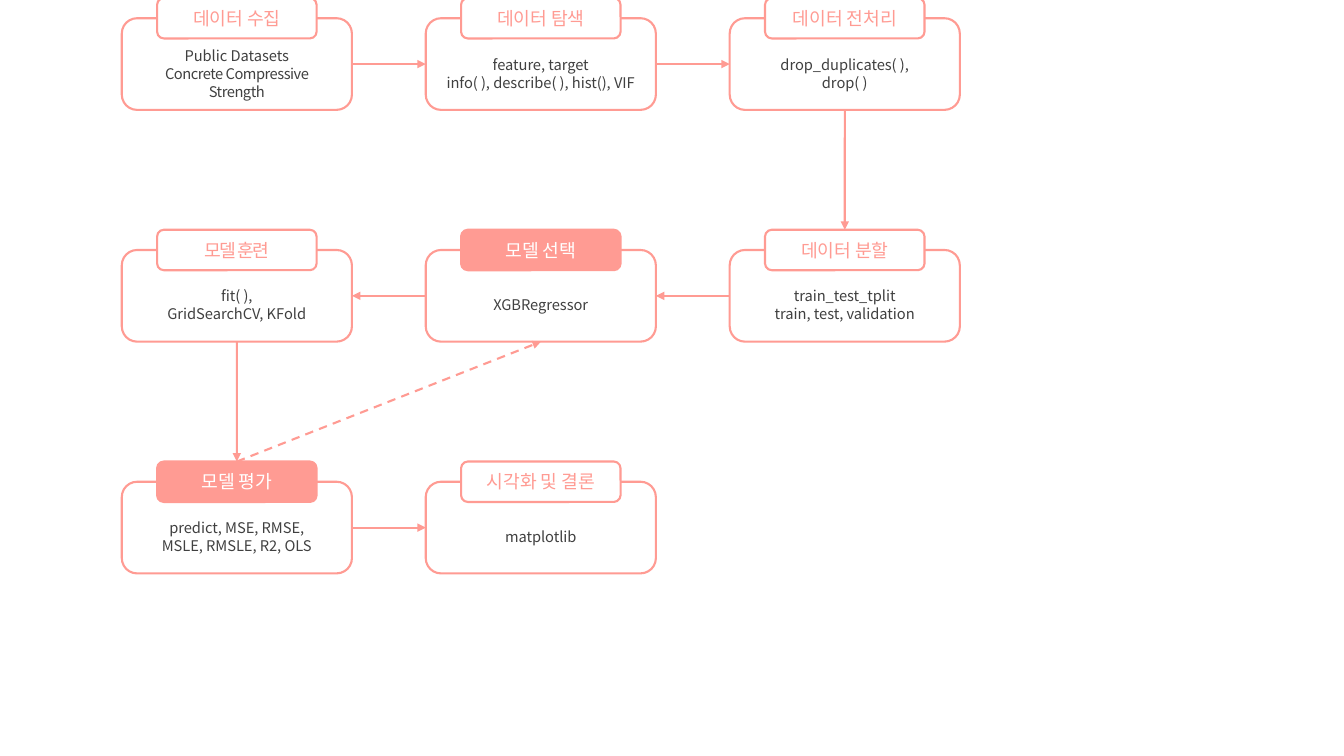
"""Build a one-slide flowchart of a machine learning workflow."""
from lxml.etree import SubElement
from pptx import Presentation
from pptx.dml.color import RGBColor
from pptx.enum.dml import MSO_LINE
from pptx.enum.shapes import MSO_CONNECTOR, MSO_SHAPE
from pptx.enum.text import MSO_ANCHOR, PP_ALIGN
from pptx.oxml.ns import qn
from pptx.util import Cm, Pt

CORAL = RGBColor(0xFF, 0x9B, 0x93)
WHITE = RGBColor(0xFF, 0xFF, 0xFF)
GRAY = RGBColor(0x40, 0x40, 0x40)
FONT = "Noto Sans CJK KR"

LEFT, TOP = 3.07, 0.46
STEP_X, STEP_Y = 7.66, 5.84
BOX_W, BOX_H = 5.8, 2.31
TAB_W, TAB_H = 4.02, 1.02
LINE_PT = 12.85
TOP_SIDE, LEFT_SIDE, BOTTOM_SIDE, RIGHT_SIDE = range(4)

STEPS = {
    "collect": (0, 0, "데이터 수집", ["Public Datasets", "Concrete Compressive Strength"]),
    "explore": (1, 0, "데이터 탐색", ["feature, target", "info( ), describe( ), hist(), VIF"]),
    "clean": (2, 0, "데이터 전처리", ["drop_duplicates( ),", "drop( )"]),
    "split": (2, 1, "데이터 분할", ["train_test_tplit", "train, test, validation"]),
    "select": (1, 1, "모델 선택", ["XGBRegressor"]),
    "train": (0, 1, "모델 훈련", ["fit( ),", "GridSearchCV, KFold"]),
    "evaluate": (0, 2, "모델 평가", ["predict, MSE, RMSE,", "MSLE, RMSLE, R2, OLS"]),
    "conclude": (1, 2, "시각화 및 결론", ["matplotlib"]),
}
HIGHLIGHTED = {"select", "evaluate"}
SPACING = {"Concrete Compressive Strength": -30, "모델 훈련": -100}


def add_round_box(s, x, y, w, h, fill):
    """Add a rounded rectangle with a coral outline, measured in centimetres."""
    sp = s.shapes.add_shape(MSO_SHAPE.ROUNDED_RECTANGLE, Cm(x), Cm(y), Cm(w), Cm(h))
    sp.shadow.inherit = False
    sp.fill.solid()
    sp.fill.fore_color.rgb = fill
    sp.line.color.rgb = CORAL
    sp.line.width = Pt(1.5)
    sp.text_frame.word_wrap = True
    sp.text_frame.vertical_anchor = MSO_ANCHOR.MIDDLE
    return sp


def add_lines(tf, lines, size, color, line_spacing=None):
    """Write each line as a centred paragraph."""
    for i, line in enumerate(lines):
        p = tf.add_paragraph() if i else tf.paragraphs[0]
        p.alignment = PP_ALIGN.CENTER
        p.line_spacing = line_spacing
        r = p.add_run()
        r.text = line
        r.font.size = Pt(size)
        r.font.name = FONT
        r.font.color.rgb = color
        rpr = r.font._element
        SubElement(rpr, qn("a:ea")).set("typeface", FONT)
        if line in SPACING:
            rpr.set("spc", str(SPACING[line]))


def add_step(s, x, y, title, details, highlighted):
    """Place a step box with its title tab centred on the top edge."""
    box = add_round_box(s, x, y, BOX_W, BOX_H, WHITE)
    tf = box.text_frame
    tf.margin_top, tf.margin_bottom = Pt(LINE_PT), 0
    add_lines(tf, details, 10.5, GRAY, Pt(LINE_PT))
    fill, color = (CORAL, WHITE) if highlighted else (WHITE, CORAL)
    tab = add_round_box(s, x + (BOX_W - TAB_W) / 2, y - TAB_H / 2, TAB_W, TAB_H, fill)
    add_lines(tab.text_frame, [title], 13, color)
    return box, tab


def add_arrow(s, start, start_side, end, end_side, dashed=False):
    """Join two shapes with a coral arrow."""
    cxn = s.shapes.add_connector(MSO_CONNECTOR.STRAIGHT, 0, 0, 0, 0)
    cxn.begin_connect(start, start_side)
    cxn.end_connect(end, end_side)
    cxn.line.color.rgb = CORAL
    cxn.line.width = Pt(1.5)
    if dashed:
        cxn.line.dash_style = MSO_LINE.DASH
    SubElement(cxn.line._get_or_add_ln(), qn("a:tailEnd")).set("type", "triangle")
    SubElement(cxn._element.spPr, qn("a:effectLst"))


def add_flowchart(s, left, top):
    """Lay the steps out on a grid and link them."""
    boxes, tabs = {}, {}
    for key, (col, row, title, details) in STEPS.items():
        boxes[key], tabs[key] = add_step(
            s, left + col * STEP_X, top + row * STEP_Y, title, details, key in HIGHLIGHTED)
    for a, b in [("collect", "explore"), ("explore", "clean"), ("evaluate", "conclude")]:
        add_arrow(s, boxes[a], RIGHT_SIDE, boxes[b], LEFT_SIDE)
    for a, b in [("split", "select"), ("select", "train")]:
        add_arrow(s, boxes[a], LEFT_SIDE, boxes[b], RIGHT_SIDE)
    for a, b in [("clean", "split"), ("train", "evaluate")]:
        add_arrow(s, boxes[a], BOTTOM_SIDE, tabs[b], TOP_SIDE)
    add_arrow(s, tabs["evaluate"], TOP_SIDE, boxes["select"], BOTTOM_SIDE, dashed=True)


def main():
    """Create and save the presentation."""
    prs = Presentation()
    prs.slide_width, prs.slide_height = Cm(33.87), Cm(19.05)
    s = prs.slides.add_slide(prs.slide_layouts[6])
    add_flowchart(s, LEFT, TOP)
    prs.save("out.pptx")


if __name__ == "__main__":
    main()
